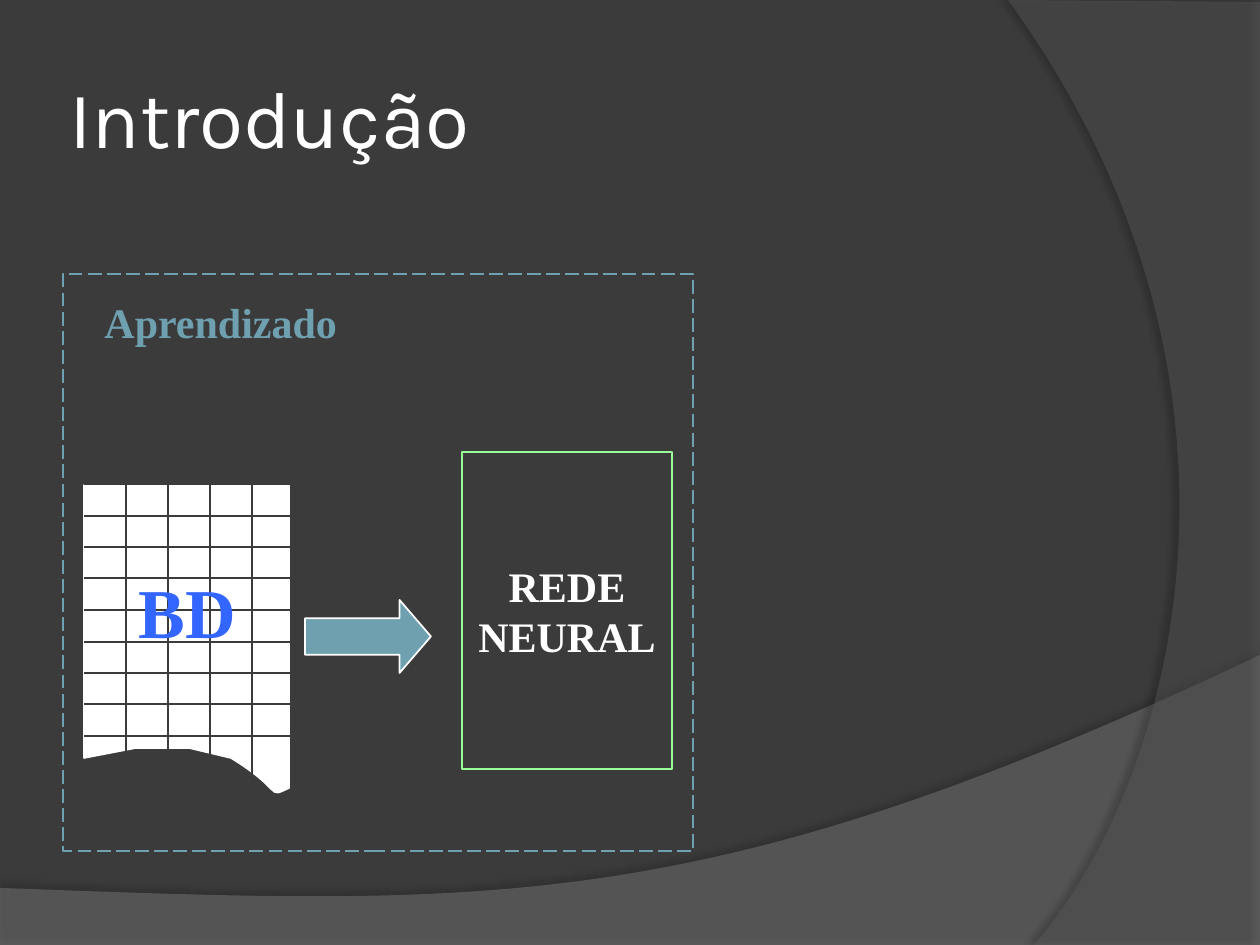
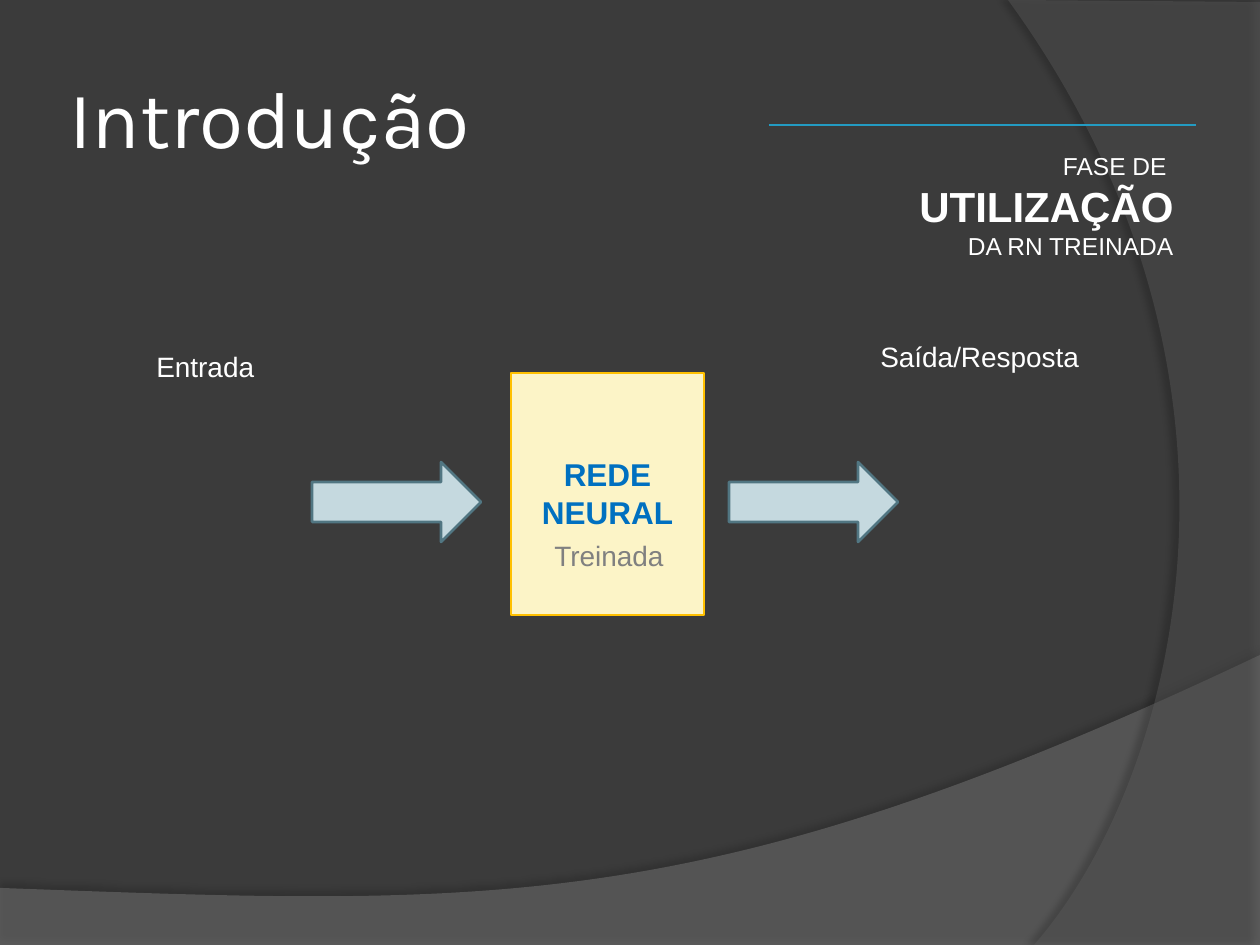
"""Build two slides on how a neural network is trained and then used."""
from dataclasses import dataclass

from lxml.etree import SubElement
from pptx import Presentation
from pptx.dml.color import RGBColor
from pptx.enum.dml import MSO_LINE
from pptx.enum.shapes import MSO_CONNECTOR, MSO_SHAPE
from pptx.enum.text import MSO_ANCHOR, PP_ALIGN
from pptx.oxml.ns import qn
from pptx.util import Pt

SCALE = 914400 / 126


@dataclass(frozen=True)
class Theme:
    back: str = "3B3B3B"
    band: str = "7F7F7F"
    side: str = "5E5E5E"
    shade: str = "000000"
    white: str = "FFFFFF"
    teal: str = "6EA0B0"
    pale: str = "C5D9DF"
    edge: str = "517682"
    green: str = "99FF99"
    cream: str = "FCF4C7"
    gold: str = "FFC000"
    blue: str = "0070C0"
    bright: str = "3366FF"
    gray: str = "808080"
    rule: str = "239BC2"
    head: str = "Karla"
    sans: str = "Arial"
    serif: str = "Times New Roman"
    title: int = 46
    huge: int = 40
    large: int = 24
    mid: int = 18
    label: int = 16
    small: int = 14


LOOK = Theme()


def px(*values):
    return [round(value * SCALE) for value in values]


def tint(code):
    return RGBColor.from_string(code)


def paint(shape, fill=None, line=None, width=1):
    shape.shadow.inherit = False
    if fill:
        shape.fill.solid()
        shape.fill.fore_color.rgb = tint(fill)
    else:
        shape.fill.background()
    if line:
        shape.line.color.rgb = tint(line)
        shape.line.width = Pt(width)
    else:
        shape.line.fill.background()
    return shape


def write(frame, text, size=LOOK.label, font=LOOK.sans, color=LOOK.white,
          bold=False, align=PP_ALIGN.LEFT):
    part = frame.add_paragraph() if frame.text else frame.paragraphs[0]
    part.alignment = align
    run = part.add_run()
    run.text = text
    run.font.size = Pt(size)
    run.font.name = font
    run.font.bold = bold
    run.font.color.rgb = tint(color)


def text_box(slide, box, wrap=False):
    frame = slide.shapes.add_textbox(*px(*box)).text_frame
    frame.word_wrap = wrap
    return frame


def label(slide, box, text, **style):
    write(text_box(slide, box), text, **style)


def block(slide, kind, box, **style):
    return paint(slide.shapes.add_shape(kind, *px(*box)), **style)


def rule(slide, start, end, color, width=1):
    line = slide.shapes.add_connector(
        MSO_CONNECTOR.STRAIGHT, *px(*start, *end))
    line.line.color.rgb = tint(color)
    line.line.width = Pt(width)
    SubElement(line.element.spPr, qn("a:effectLst"))


def outline(slide, start, *steps, **style):
    """Draw a closed outline; a step of six numbers is a cubic curve."""
    pen = slide.shapes.build_freeform(*px(*start))
    pen.add_line_segments([px(*step[-2:]) for step in steps], close=True)
    shape = pen.convert_to_shape()
    lines = list(shape.element.iter(qn("a:lnTo")))
    for node, step in zip(lines, steps):
        if len(step) == 6:
            node.tag = qn("a:cubicBezTo")
            for spot, pull in enumerate((step[:2], step[2:4])):
                x, y = px(*pull)
                point = SubElement(node, qn("a:pt"), x=str(x - shape.left),
                                   y=str(y - shape.top))
                node.insert(spot, point)
    return paint(shape, **style)


def soften(shape, alpha, depth, reach, angle):
    """Make the fill see-through and cast a soft shadow."""
    props = shape.element.spPr
    fill = props.find(qn("a:solidFill"))[0]
    SubElement(fill, qn("a:alpha"), val=str(alpha * 1000))
    cast = SubElement(
        props.find(qn("a:effectLst")), qn("a:outerShdw"),
        blurRad=str(Pt(4)), dist=str(Pt(reach)), dir=str(angle * 60000),
        algn="ctr", rotWithShape="0")
    color = SubElement(cast, qn("a:srgbClr"), val=LOOK.shade)
    SubElement(color, qn("a:alpha"), val=str(depth * 1000))


def base(deck):
    slide = deck.slides.add_slide(deck.slide_layouts[6])
    slide.background.fill.solid()
    slide.background.fill.fore_color.rgb = tint(LOOK.back)
    band = outline(slide, (0, 888), (0, 946), (1260, 946), (1260, 655),
                   (704, 919, 493, 906, 0, 888), fill=LOOK.band)
    soften(band, 45, 35, 3.5, 270)
    side = outline(slide, (1260, 2), (1260, 945), (1034, 945),
                   (1178, 780, 1283, 378, 1008, 0), fill=LOOK.side)
    soften(side, 40, 45, 4, 180)
    return slide


def title(slide, text):
    frame = text_box(slide, (63, 38, 1029, 157), wrap=True)
    frame.vertical_anchor = MSO_ANCHOR.MIDDLE
    frame.margin_left = frame.margin_right = px(6)[0]
    write(frame, text, size=LOOK.title, font=LOOK.head)


def sheet(slide):
    """Draw the torn data sheet with its grid."""
    left, top, right = 84, 484, 293
    outline(slide, (left, 706), (left, 758), (136, 748), (189, 748),
            (231, 758), (285, 791, 266, 799, 289, 788), (289, top + 1),
            (left, top + 1), fill=LOOK.white, line=LOOK.white)
    for row in range(9):
        y = round(top + row * 31.5)
        rule(slide, (left, y), (right, y), LOOK.back)
    for col, foot in enumerate((757, 757, 757, 779), 1):
        x = left + col * 42
        rule(slide, (x, top), (x, foot), LOOK.back)
    label(slide, (126, 562, 122, 97), "BD", size=LOOK.huge,
          font=LOOK.serif, color=LOOK.bright, bold=True)


def learn(deck):
    slide = base(deck)
    net = block(slide, MSO_SHAPE.RECTANGLE, (462, 452, 210, 317),
                fill=LOOK.back, line=LOOK.green)
    net.text_frame.word_wrap = True
    write(net.text_frame, "REDE NEURAL", size=LOOK.large, font=LOOK.serif,
          bold=True, align=PP_ALIGN.CENTER)
    sheet(slide)
    arrow = block(slide, MSO_SHAPE.RIGHT_ARROW, (305, 600, 126, 73),
                  fill=LOOK.teal, line=LOOK.white)
    arrow.adjustments[1] = 0.43
    frame = block(slide, MSO_SHAPE.RECTANGLE, (63, 274, 630, 577),
                  line=LOOK.teal)
    frame.line.dash_style = MSO_LINE.LONG_DASH
    label(slide, (92, 290, 258, 63), "Aprendizado", size=LOOK.large,
          font=LOOK.serif, color=LOOK.teal, bold=True)
    title(slide, "Introdução")


def apply(deck):
    slide = base(deck)
    title(slide, "Introdução")
    net = block(slide, MSO_SHAPE.RECTANGLE, (511, 373, 193, 242),
                fill=LOOK.cream, line=LOOK.gold, width=1.25)
    net.text_frame.word_wrap = False
    net.text_frame.margin_bottom = px(8)[0]
    for word in ("REDE", "NEURAL"):
        write(net.text_frame, word, size=LOOK.mid, color=LOOK.blue,
              bold=True, align=PP_ALIGN.CENTER)
    for left in (312, 729):
        block(slide, MSO_SHAPE.RIGHT_ARROW, (left, 462, 169, 80),
              fill=LOOK.pale, line=LOOK.edge, width=1.5)
    phase = text_box(slide, (730, 145, 456, 123), wrap=True)
    for text, size, bold in (("FASE DE ", LOOK.small, False),
                             ("UTILIZAÇÃO", LOOK.large, True),
                             ("DA RN TREINADA", LOOK.small, False)):
        write(phase, text, size=size, bold=bold, align=PP_ALIGN.RIGHT)
    label(slide, (144, 343, 125, 47), "Entrada")
    label(slide, (868, 333, 227, 47), "Saída/Resposta")
    label(slide, (541, 532, 136, 47), "Treinada", color=LOOK.gray,
          align=PP_ALIGN.CENTER)
    rule(slide, (769, 125), (1196, 125), LOOK.rule, width=0.75)


def main():
    deck = Presentation()
    deck.slide_width, deck.slide_height = px(1260, 945)
    learn(deck)
    apply(deck)
    deck.save("out.pptx")


if __name__ == "__main__":
    main()
